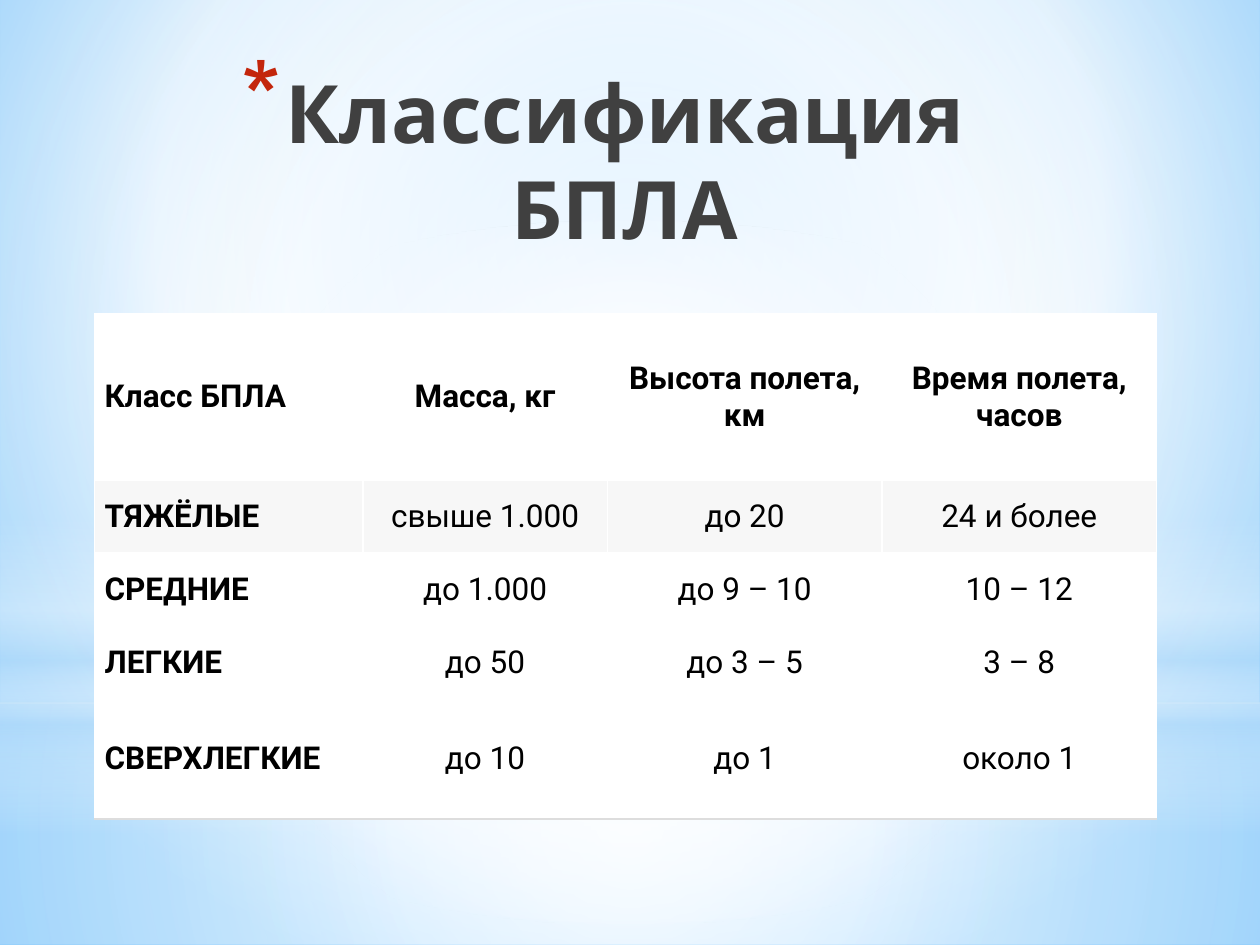
from lxml.etree import SubElement
from pptx import Presentation
from pptx.dml.color import RGBColor
from pptx.enum.shapes import MSO_SHAPE as Preset
from pptx.enum.text import MSO_ANCHOR as Anchor, MSO_AUTO_SIZE as AutoSize, PP_ALIGN as Align
from pptx.oxml.ns import qn
from pptx.util import Inches, Pt

# Content
TITLE = "Классификация БПЛА"
ROWS = [
    ("Класс БПЛА", "Масса, кг", "Высота полета, км", "Время полета, часов"),
    ("ТЯЖЁЛЫЕ", "свыше 1.000", "до 20", "24 и более"),
    ("СРЕДНИЕ", "до 1.000", "до 9 – 10", "10 – 12"),
    ("ЛЕГКИЕ", "до 50", "до 3 – 5", "3 – 8"),
    ("СВЕРХЛЕГКИЕ", "до 10", "до 1", "около 1"),
]
COLUMN_WIDTHS = (2.13, 1.94, 2.18, 2.18)
ROW_HEIGHTS = (1.32, 0.58, 0.58, 0.58, 0.95)

# Colours
BLACK = RGBColor(0x00, 0x00, 0x00)
WHITE = RGBColor(0xFF, 0xFF, 0xFF)
CHARCOAL = RGBColor(0x40, 0x40, 0x40)
STRIPE = RGBColor(0xF7, 0xF7, 0xF7)
RULE = RGBColor(0xDD, 0xDD, 0xDD)
RED = RGBColor(0xC3, 0x26, 0x0C)
MIST = RGBColor(0xB4, 0xDC, 0xFA)
SKY = RGBColor(0x9E, 0xD5, 0xFF)
BLUE = RGBColor(0x5B, 0xB9, 0xFF)

# Gradients: stops are (position, colour, opacity) in percent
CENTRE = (50, 50, 50, 50)
BACKGROUND_STOPS = [(0, SKY, 100), (60, WHITE, 100), (100, BLUE, 100)]
BACKDROPS = [  # preset, top, height, stops, focus (None: linear, downwards)
    (Preset.RECTANGLE, 5.58, 1.92, [(0, WHITE, 91), (37, WHITE, 76), (100, MIST, 79)], CENTRE),
    (Preset.RECTANGLE, 0, 5.58, [(0, WHITE, 89), (48, WHITE, 62), (100, MIST, 79)], CENTRE),
    (Preset.RECTANGLE, 4.12, 2.5, [(0, WHITE, 0), (29, WHITE, 30), (45, MIST, 40),
                                   (55, WHITE, 26), (65, MIST, 60), (100, WHITE, 0)], None),
    (Preset.OVAL, 1.75, 5.58, [(0, WHITE, 100), (56, WHITE, 0)], CENTRE),
]


def add_node(parent, tag, **attributes):
    return SubElement(parent, qn(tag), {key: str(value) for key, value in attributes.items()})


def set_values(target, values):
    for name, value in values.items():
        setattr(target, name, value)


def set_gradient(fill, element, stops, focus):
    fill.gradient()
    gradient = element.find(".//" + qn("a:gradFill"))
    for child in list(gradient):
        gradient.remove(child)
    stop_list = add_node(gradient, "a:gsLst")
    for position, color, opacity in stops:
        stop = add_node(stop_list, "a:gs", pos=position * 1000)
        color_node = add_node(stop, "a:srgbClr", val=color)
        if opacity < 100:
            add_node(color_node, "a:alpha", val=opacity * 1000)
    if focus:
        circle = add_node(gradient, "a:path", path="circle")
        add_node(circle, "a:fillToRect", **{side: value * 1000 for side, value in zip("ltrb", focus)})
    else:
        add_node(gradient, "a:lin", ang=90 * 60000, scaled=0)


def add_bottom_rule(cell):
    properties = cell._tc.get_or_add_tcPr()
    line = add_node(properties, "a:lnB", w=Pt(0.75))
    add_node(add_node(line, "a:solidFill"), "a:srgbClr", val=RULE)
    properties.insert(0, line)  # borders come before the fill


def add_backdrops(presentation, slide):
    set_gradient(slide.background.fill, slide.element, BACKGROUND_STOPS, (20, 10, 20, 60))
    for preset, top, height, stops, focus in BACKDROPS:
        shape = slide.shapes.add_shape(preset, 0, Inches(top), presentation.slide_width, Inches(height))
        shape.shadow.inherit = False
        shape.line.fill.background()
        set_gradient(shape.fill, shape.element, stops, focus)


def format_title(slide):
    title = slide.shapes.title
    slide.shapes._spTree.append(title.element)  # in front of the backdrops
    set_values(title, dict(left=Inches(1.38), top=Inches(0.44), width=Inches(6.81), height=Inches(1.65)))
    frame = title.text_frame
    frame.text = TITLE
    set_values(frame, dict(word_wrap=True, vertical_anchor=Anchor.MIDDLE,
                           auto_size=AutoSize.TEXT_TO_FIT_SHAPE))
    paragraph = frame.paragraphs[0]
    paragraph.alignment = Align.CENTER
    font = paragraph.runs[0].font
    set_values(font, dict(name="Karla", size=Pt(46), bold=True))
    font.color.rgb = CHARCOAL
    # Red asterisk bullet with a hanging indent
    properties = paragraph._p.get_or_add_pPr()
    properties.set("marL", str(Inches(0.35)))
    properties.set("indent", str(Inches(-0.35)))
    add_node(add_node(properties, "a:buClr"), "a:srgbClr", val=RED)
    add_node(properties, "a:buSzPct", val=128000)
    add_node(properties, "a:buChar", char="*")


def add_class_table(slide):
    table = slide.shapes.add_table(
        len(ROWS), len(COLUMN_WIDTHS), Inches(0.75), Inches(2.49),
        Inches(sum(COLUMN_WIDTHS)), Inches(sum(ROW_HEIGHTS))).table
    for column, width in zip(table.columns, COLUMN_WIDTHS):
        column.width = Inches(width)
    for row, height in zip(table.rows, ROW_HEIGHTS):
        row.height = Inches(height)
    margins = {f"margin_{side}": Inches(0.08) for side in ("left", "right", "top", "bottom")}
    for row_index, texts in enumerate(ROWS):
        for column_index, text in enumerate(texts):
            cell = table.cell(row_index, column_index)
            cell.text = text
            set_values(cell, dict(margins, vertical_anchor=Anchor.MIDDLE))
            cell.fill.solid()
            cell.fill.fore_color.rgb = STRIPE if row_index == 1 else WHITE
            add_bottom_rule(cell)
            paragraph = cell.text_frame.paragraphs[0]
            paragraph.alignment = Align.CENTER if column_index else Align.LEFT
            font = paragraph.runs[0].font
            set_values(font, dict(name="Roboto", size=Pt(18), bold=row_index == 0 or column_index == 0))
            font.color.rgb = BLACK


def main():
    presentation = Presentation()
    set_values(presentation, dict(slide_width=Inches(10), slide_height=Inches(7.5)))
    slide = presentation.slides.add_slide(presentation.slide_layouts[5])  # Title Only
    add_backdrops(presentation, slide)
    format_title(slide)
    add_class_table(slide)
    presentation.save("out.pptx")


if __name__ == "__main__":
    main()
